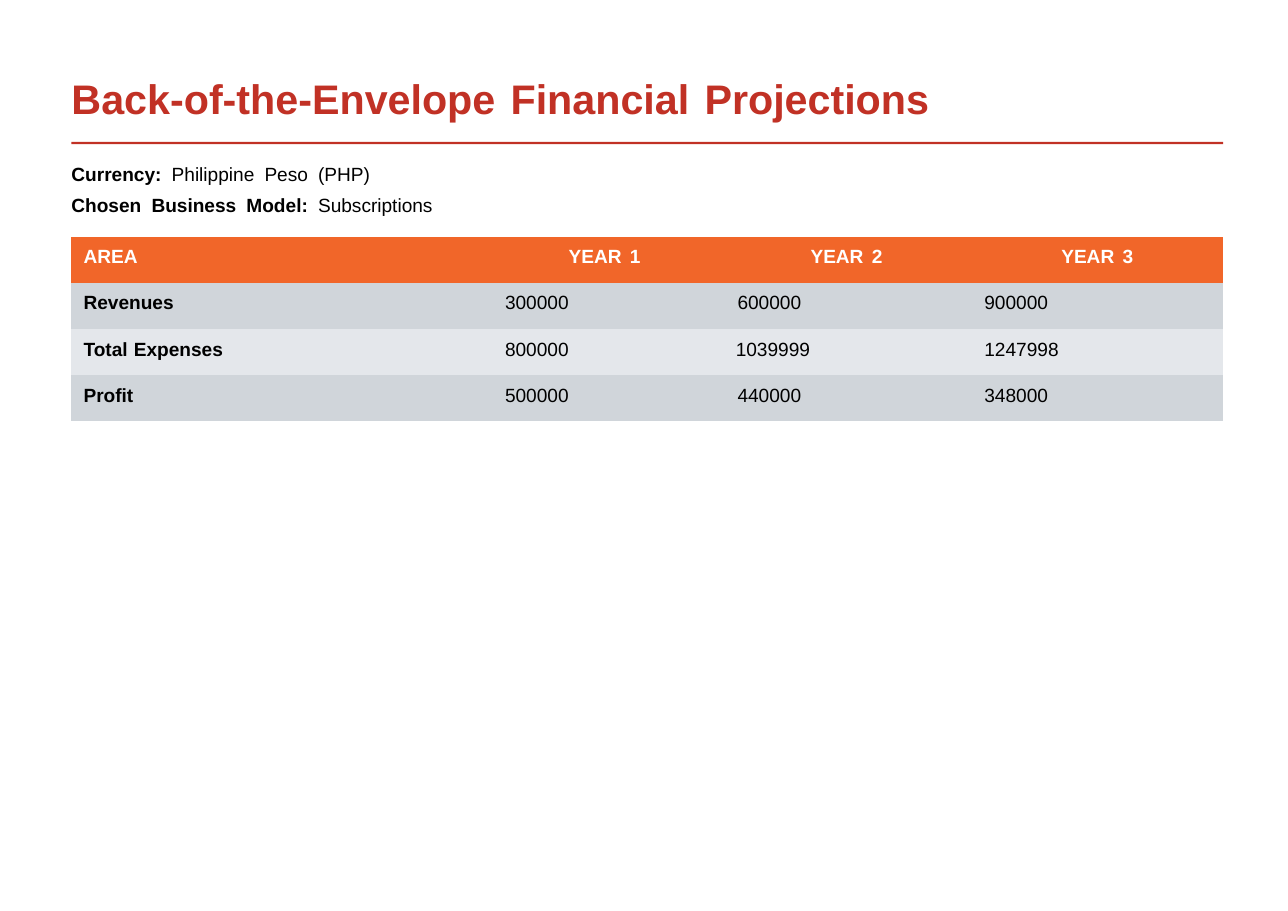
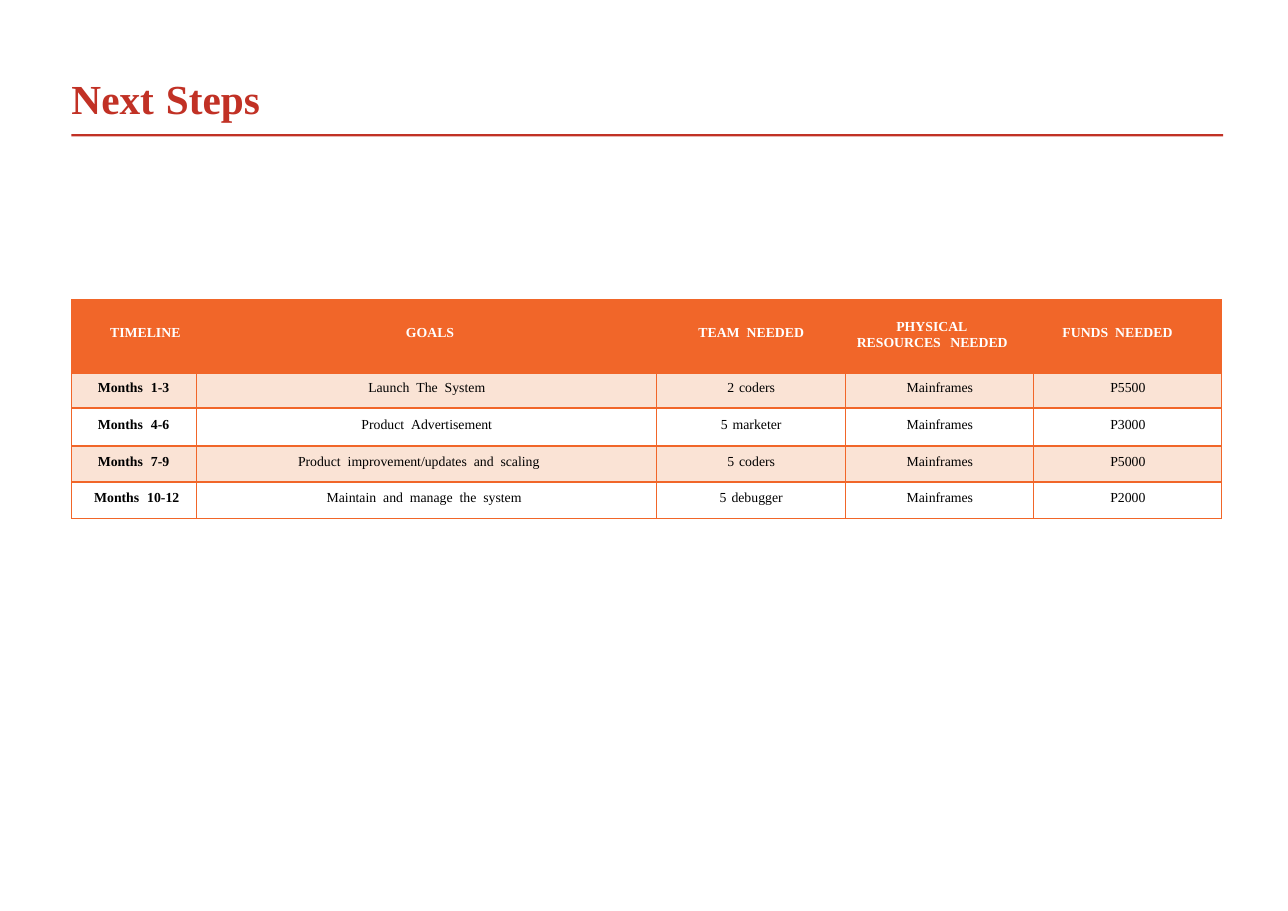
from dataclasses import dataclass, replace

from lxml import etree
from pptx import Presentation
from pptx.dml.color import RGBColor
from pptx.enum.shapes import MSO_SHAPE as SHAPE
from pptx.enum.text import MSO_ANCHOR as ANCHOR, MSO_AUTO_SIZE as AUTO, PP_ALIGN as ALIGN
from pptx.oxml.ns import qn
from pptx.util import Pt

PX = 9144  # 100 px to the inch
NO_STYLE = "{2D5ABB26-0587-4C30-8999-92F81FD0307C}"


# Theme: colours, fonts and type sizes
@dataclass(frozen=True)
class Theme:
    red: str = "C13125"
    orange: str = "F16629"
    peach: str = "FAE3D5"
    grey: str = "D0D5DA"
    pale: str = "E4E7EB"
    white: str = "FFFFFF"
    black: str = "000000"
    sans: str = "Arial"
    serif: str = "Times New Roman"
    title: float = 27
    body: float = 12.5
    small: float = 9


T = Theme()


@dataclass(frozen=True)
class Fmt:
    """Text format of a table cell; lengths in px, gap is extra word space in points."""
    font: str
    size: float
    color: str = T.black
    bold: bool = False
    align: ALIGN = ALIGN.LEFT
    left: int = 0
    right: int = 0
    top: int = 0
    gap: float = 0
    first: int = 0
    leading: float = 0


def px(*lengths):
    return [n * PX for n in lengths]


# Text
def add_words(p, text, gap=0, bold=None):
    """Write text word by word, widening each space by gap points."""
    for i, word in enumerate(text.split(" ")):
        for part in ([" "] if i else []) + ([word] if word else []):
            r = p.add_run()
            r.text = part
            if bold is not None:
                r.font.bold = bold
            if part == " " and gap:
                r._r.get_or_add_rPr().set("spc", str(round(gap * 100)))


def set_font(p, name, size, color, bold=None):
    p.font.name = name
    p.font.size = Pt(size)
    p.font.color.rgb = RGBColor.from_string(color)
    if bold is not None:
        p.font.bold = bold


def set_frame(tf, left=0, top=0):
    tf.margin_left, tf.margin_top, tf.margin_right, tf.margin_bottom = px(left, top, 0, 0)
    tf.vertical_anchor = ANCHOR.TOP
    tf.auto_size = AUTO.NONE
    tf.word_wrap = True


# Slide with its title and the rule below it
def add_slide(prs, title, font, gap, rule_y):
    slide = prs.slides.add_slide(prs.slide_layouts[5])
    sp = slide.shapes.title
    sp.left, sp.top, sp.width, sp.height = px(64, 66, 1043, 54)
    set_frame(sp.text_frame, left=1, top=1)
    p = sp.text_frame.paragraphs[0]
    p.alignment = ALIGN.LEFT
    set_font(p, font, T.title, T.red, True)
    add_words(p, title, gap)

    rule = slide.shapes.add_shape(SHAPE.RECTANGLE, *px(65, rule_y, 1047, 2))
    rule.shadow.inherit = False
    rule.fill.solid()
    rule.fill.fore_color.rgb = RGBColor.from_string(T.red)
    rule.line.fill.background()
    return slide


def add_facts(slide, facts):
    sp = slide.shapes.add_textbox(*px(64, 140, 420, 58))
    tf = sp.text_frame
    set_frame(tf, left=1, top=8)
    for i, (label, value) in enumerate(facts):
        p = tf.add_paragraph() if i else tf.paragraphs[0]
        if i:
            p.space_before = Pt(5)
        set_font(p, T.sans, T.body, T.black)
        add_words(p, label + " ", 3.2, True)
        add_words(p, value, 3.2)


# Tables
def add_table(slide, y, widths, heights):
    frame = slide.shapes.add_table(len(heights), len(widths),
                                   *px(65, y, sum(widths), sum(heights)))
    table = frame.table
    table.first_row = table.horz_banding = False
    table._tbl.tblPr.find(qn("a:tableStyleId")).text = NO_STYLE
    for col, width in zip(table.columns, widths):
        col.width = width * PX
    for row, height in zip(table.rows, heights):
        row.height = height * PX
    return table


def fill_cell(cell, fill):
    if fill:
        cell.fill.solid()
        cell.fill.fore_color.rgb = RGBColor.from_string(fill)
    else:
        cell.fill.background()


def write_cell(cell, text, fmt):
    (cell.margin_left, cell.margin_top,
     cell.margin_right, cell.margin_bottom) = px(fmt.left, fmt.top, fmt.right, 0)
    cell.vertical_anchor = ANCHOR.TOP
    p = cell.text_frame.paragraphs[0]
    p.alignment = fmt.align
    if fmt.first:
        p._p.get_or_add_pPr().set("indent", str(fmt.first * PX))
    if fmt.leading:
        p.line_spacing = Pt(fmt.leading)
    set_font(p, fmt.font, fmt.size, fmt.color, fmt.bold)
    add_words(p, text, fmt.gap)


def set_borders(cell, color, **widths):
    """Draw borders, widths in points by side: L, R, T, B."""
    tcPr = cell._tc.get_or_add_tcPr()
    for i, side in enumerate("LRTB"):
        ln = etree.Element(qn(f"a:ln{side}"), w=str(Pt(widths[side])))
        solid = etree.SubElement(ln, qn("a:solidFill"))
        etree.SubElement(solid, qn("a:srgbClr"), val=color)
        tcPr.insert(i, ln)


# Slide 1
def build_projections(prs):
    slide = add_slide(prs, "Back-of-the-Envelope Financial Projections", T.sans, 2.4, 129)
    table = add_table(slide, 215, [268, 184, 109, 224, 262], [42] * 4)
    base = Fmt(T.sans, T.body, top=9)
    head = replace(base, color=T.white, bold=True, gap=2)
    label = replace(base, bold=True, left=11, gap=0.6)
    year_1 = replace(base, align=ALIGN.RIGHT)
    year_2 = replace(base, align=ALIGN.CENTER, left=32)
    year_3 = replace(base, left=45)

    heads = ["AREA", "", "YEAR 1", "YEAR 2", "YEAR 3"]
    for c, (text, left) in enumerate(zip(heads, [11, 0, 0, 111, 115])):
        fill_cell(table.cell(0, c), T.orange)
        write_cell(table.cell(0, c), text, replace(head, left=left))

    rows = [("Revenues", 300000, 600000, 900000),
            ("Total Expenses", 800000, 1039999, 1247998),
            ("Profit", 500000, 440000, 348000)]
    for r, row in enumerate(rows, 1):
        table.cell(r, 2).merge(table.cell(r, 3))
        middle = replace(base, left=152) if r == 2 else year_2
        for c, value, fmt in zip((0, 1, 2, 4), row, (label, year_1, middle, year_3)):
            fill_cell(table.cell(r, c), T.grey if r % 2 else T.pale)
            write_cell(table.cell(r, c), str(value), fmt)

    add_facts(slide, [("Currency:", "Philippine Peso (PHP)"),
                      ("Chosen Business Model:", "Subscriptions")])


# Slide 2
def build_next_steps(prs):
    slide = add_slide(prs, "Next Steps", T.serif, 1.1, 122)
    table = add_table(slide, 273, [114, 418, 172, 171, 171], [66, 32, 34, 33, 33])
    base = Fmt(T.serif, T.small, top=8, align=ALIGN.CENTER)
    head = replace(base, color=T.white, bold=True, top=23, gap=2.3)
    month = replace(base, bold=True, align=ALIGN.LEFT, left=24, gap=3)
    last_month = replace(month, align=ALIGN.RIGHT, left=0, right=16)
    goal = replace(base, gap=2.3)
    team = replace(base, gap=1)

    heads = [("TIMELINE", replace(head, align=ALIGN.RIGHT, right=15)),
             ("GOALS", replace(head, left=6)),
             ("TEAM NEEDED", head),
             ("PHYSICAL RESOURCES NEEDED",
              replace(head, align=ALIGN.LEFT, left=10, top=17, gap=4, first=36, leading=10.3)),
             ("FUNDS NEEDED", replace(head, align=ALIGN.LEFT, left=26))]
    for c, (text, fmt) in enumerate(heads):
        cell = table.cell(0, c)
        fill_cell(cell, T.orange)
        write_cell(cell, text, fmt)
        set_borders(cell, T.orange, L=0.75, R=0.75, T=1.5, B=0.25)

    rows = [("Months 1-3", "Launch The System", "2 coders", "P5500"),
            ("Months 4-6", "Product Advertisement", "5 marketer", "P3000"),
            ("Months 7-9", "Product improvement/updates and scaling", "5 coders", "P5000"),
            ("Months 10-12", "Maintain and manage the system", "5 debugger", "P2000")]
    goal_lefts = {3: 92, 4: 118}
    for r, (months, aim, people, funds) in enumerate(rows, 1):
        last = r == len(rows)
        left = goal_lefts.get(r)
        aim_fmt = replace(goal, align=ALIGN.LEFT, left=left) if left else goal
        cells = [(months, last_month if last else month), (aim, aim_fmt),
                 (people, team), ("Mainframes", base), (funds, base)]
        for c, (text, fmt) in enumerate(cells):
            cell = table.cell(r, c)
            fill_cell(cell, T.peach if r % 2 else None)
            write_cell(cell, text, replace(fmt, top=7) if r == 1 else fmt)
            set_borders(cell, T.orange, L=0.75, R=0.75,
                        T=0.25 if r == 1 else 1.5, B=0.75 if last else 1.5)


def main():
    prs = Presentation()
    prs.slide_width, prs.slide_height = px(1171, 828)
    build_projections(prs)
    build_next_steps(prs)
    prs.save("out.pptx")


if __name__ == "__main__":
    main()
